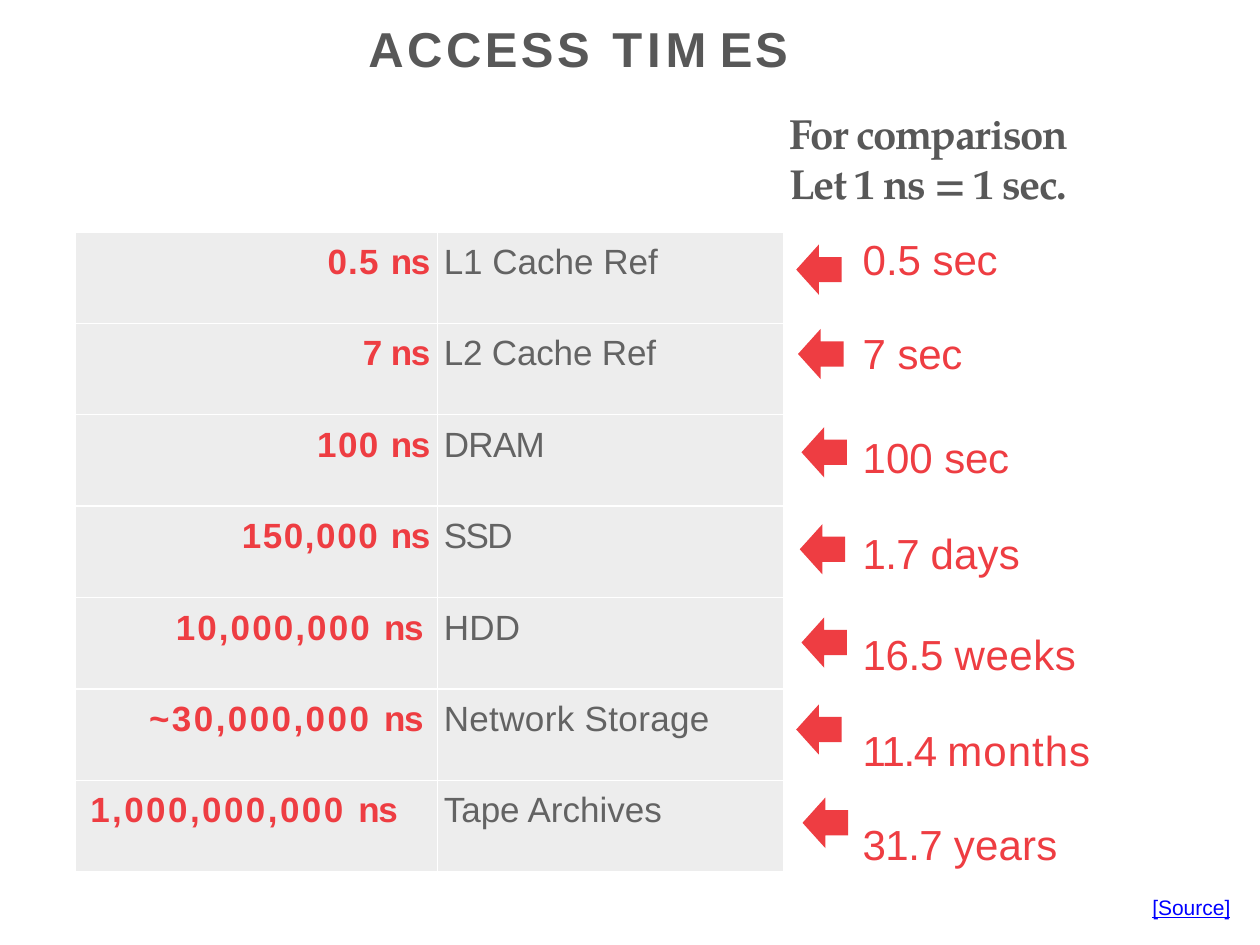
from pptx import Presentation
from pptx.dml.color import RGBColor
from pptx.enum.shapes import MSO_SHAPE
from pptx.enum.text import PP_ALIGN
from pptx.util import Pt

COLORS = {"red": "EE3D42", "title": "585858", "label": "636363",
          "panel": "EDEDED", "link": "0000FF"}
SANS, SERIF = "Arial", "TeX Gyre Pagella"

# time, its letter spacing, right margin, device, its letter spacing
ACCESS_TIMES = [
    ("0.5", 0.7, 4, "L1 Cache Ref", 0),
    ("7", -0.6, 4, "L2 Cache Ref", -0.1),
    ("100", 0.8, 4, "DRAM", -0.4),
    ("150,000", 0.9, 4, "SSD", -0.9),
    ("10,000,000", 1.2, 8, "HDD", 0.1),
    ("~30,000,000", 1.4, 8, "Network Storage", 0.2),
    ("1,000,000,000", 1.4, None, "Tape Archives", 0),
]
# amount, its letter spacing, unit, its letter spacing, space before
COMPARISONS = [
    ("0.5", 0, "sec", -0.1, 0.9),
    ("7", 0, "sec", -0.2, 25),
    ("100", 0, "sec", -0.2, 30.7),
    ("1.7", -0.4, "days", 0.1, 26.1),
    ("16.5", -0.2, "weeks", 0.3, 29),
    ("11.4", -0.8, "months", 0.6, 25.5),
    ("31.7", -0.3, "years", 0.1, 25),
]
ARROW_CORNERS = [(455, 139.7), (456, 187.9), (458, 244.1), (457, 299.5),
                 (458, 352.8), (455, 402.5), (458.6, 455.8)]


def rgb(name):
    return RGBColor.from_string(COLORS[name])


def add_runs(paragraph, pieces, size, color, bold=False, face=SANS):
    """Add (text, letter spacing in points) pieces in one style."""
    for text, spacing in pieces:
        run = paragraph.add_run()
        run.text = text
        font = run.font
        font.name, font.size, font.bold = face, Pt(size), bold
        font.color.rgb = rgb(color)
        run._r.get_or_add_rPr().set("spc", str(round(spacing * 100)))


def add_text_frame(slide, left, top, width, height, inset_top=0.9):
    frame = slide.shapes.add_textbox(Pt(left), Pt(top), Pt(width), Pt(height)).text_frame
    frame.word_wrap = True
    frame.margin_left = frame.margin_right = frame.margin_bottom = 0
    frame.margin_top = Pt(inset_top)
    return frame


def add_title(slide, left, top, width, height):
    heading = add_text_frame(slide, left, top, width, height).paragraphs[0]
    heading.space_before = Pt(0.9)
    pieces = [("ACCESS", 2), (" ", 3), ("TI", 2.8), ("M ", -0.1), ("ES", 1.6)]
    add_runs(heading, pieces, 28, "title", bold=True)


def add_access_table(slide, left, top, column_widths, row_height):
    count = len(ACCESS_TIMES)
    table = slide.shapes.add_table(count, 2, Pt(left), Pt(top), Pt(sum(column_widths)),
                                   Pt(row_height * count)).table
    table.first_row = table.horz_banding = False
    for column, width in zip(table.columns, column_widths):
        column.width = Pt(width)
    for index, (time, time_spacing, right, device, spacing) in enumerate(ACCESS_TIMES):
        table.rows[index].height = Pt(row_height)
        time_cell, device_cell = table.cell(index, 0), table.cell(index, 1)
        for cell in (time_cell, device_cell):
            cell.fill.solid()
            cell.fill.fore_color.rgb = rgb("panel")
            cell.margin_left = cell.margin_right = cell.margin_bottom = 0
            cell.margin_top = Pt(6.2)
        time_line = time_cell.text_frame.paragraphs[0]
        if right is None:
            time_cell.margin_left = Pt(8.6)
        else:
            time_line.alignment = PP_ALIGN.RIGHT
            time_cell.margin_right = Pt(right)
        add_runs(time_line, [(time + " ", time_spacing), ("ns", -0.8)], 20, "red", bold=True)
        device_cell.margin_left = Pt(3.6)
        add_runs(device_cell.text_frame.paragraphs[0], [(device, spacing)], 20, "label")


def add_arrows(slide, width, height):
    for left, top in ARROW_CORNERS:
        arrow = slide.shapes.add_shape(MSO_SHAPE.LEFT_ARROW, Pt(left), Pt(top),
                                       Pt(width), Pt(height))
        arrow.shadow.inherit = False
        arrow.fill.solid()
        arrow.fill.fore_color.rgb = rgb("red")
        arrow.line.fill.background()


def add_comparisons(slide, left, top, width, height):
    frame = add_text_frame(slide, left, top, width, height)
    for index, (amount, amount_spacing, unit, spacing, gap) in enumerate(COMPARISONS):
        line = frame.add_paragraph() if index else frame.paragraphs[0]
        line.space_before = Pt(gap)
        add_runs(line, [(amount + " ", amount_spacing), (unit, spacing)], 24, "red")


def add_source(slide, left, top, width, height):
    source = add_text_frame(slide, left, top, width, height).paragraphs[0]
    source.space_before = Pt(1)
    add_runs(source, [("[Source]", 0)], 12, "link")
    source.runs[0].font.underline = True


def add_scale_note(slide, left, top, width, height):
    note = add_text_frame(slide, left, top, width, height, inset_top=4.3).paragraphs[0]
    note.space_before = Pt(4.2)
    note.line_spacing = 1.0
    add_runs(note, [("For comparison", -0.8)], 24, "title", bold=True, face=SERIF)
    note.add_line_break()
    add_runs(note, [("Let 1 ns = 1 sec.", -0.8)], 24, "title", bold=True, face=SERIF)


def main():
    deck = Presentation()
    deck.slide_width, deck.slide_height = Pt(720), Pt(540)
    slide = deck.slides.add_slide(deck.slide_layouts[6])
    add_title(slide, 210.5, 9.4, 256, 34.6)
    add_access_table(slide, 43, 132.5, (207, 198), 52.25)
    add_arrows(slide, 26, 28.8)
    add_comparisons(slide, 493, 132.5, 134.6, 368.6)
    add_source(slide, 658.5, 510, 47.5, 15.8)
    add_scale_note(slide, 451, 57, 206, 62.6)
    deck.save("out.pptx")


if __name__ == "__main__":
    main()
